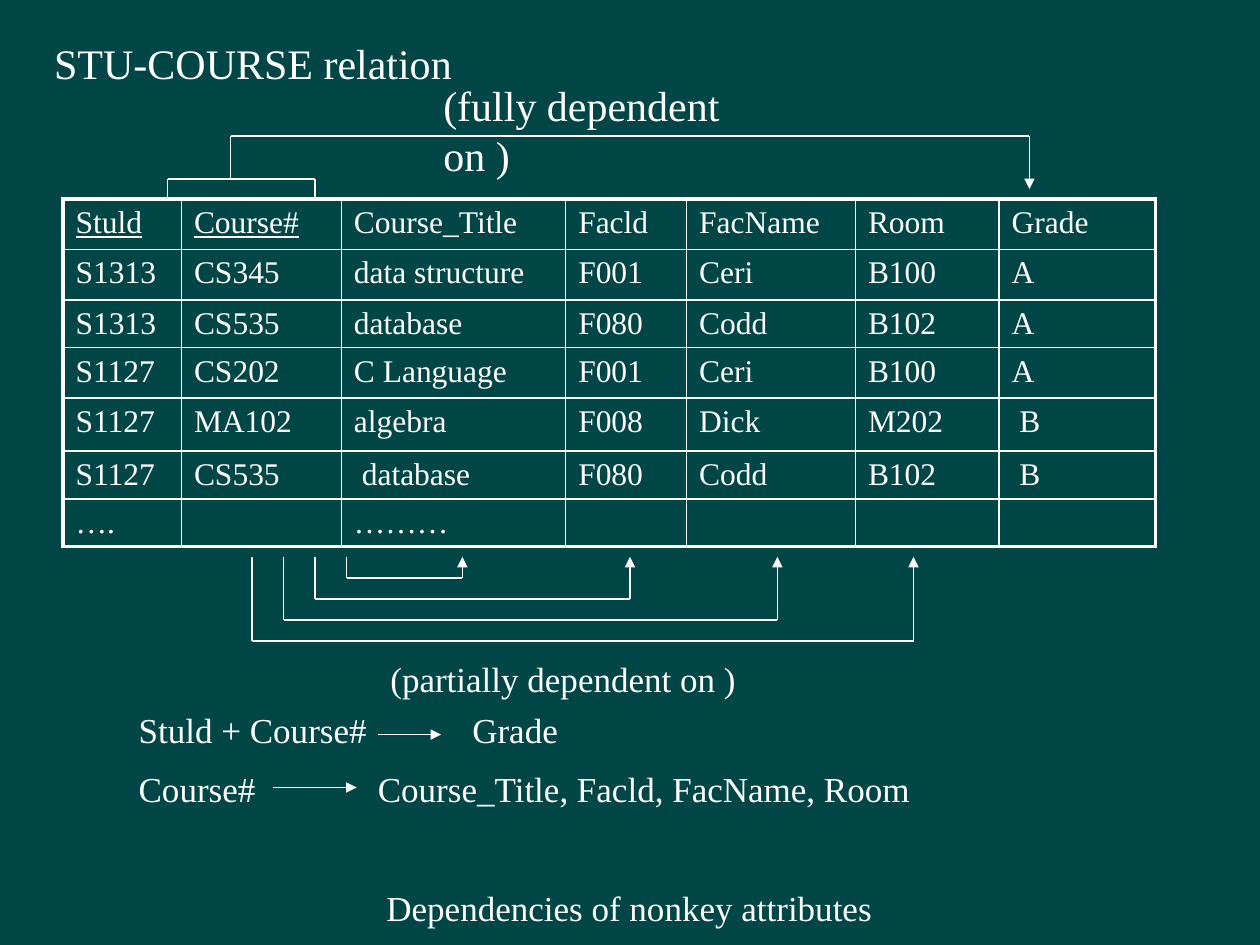
import dataclasses
import itertools

import pptx
import pptx.dml.color
import pptx.enum.shapes
import pptx.enum.text
import pptx.oxml
import pptx.oxml.ns
import pptx.util

Inches = pptx.util.Inches
Pt = pptx.util.Pt


@dataclasses.dataclass(frozen=True)
class Theme:
    background: str = "004646"
    ink: str = "FFFFFF"
    font: str = "Times New Roman"
    heading: int = 24
    body: int = 20
    cell: int = 18
    empty_cell: int = 14
    arrow_line: float = 0.75
    inner_border: float = 1
    outer_border: float = 2.25


THEME = Theme()
COLUMN_WIDTHS = [0.94, 1.27, 1.78, 0.96, 1.34, 1.14, 1.24]
ROW_HEIGHTS = [0.4, 0.4, 0.38, 0.4, 0.42, 0.38, 0.38]
KEY_COLUMNS = 2
RELATION = [
    ["Stuld", "Course#", "Course_Title", "Facld", "FacName", "Room", "Grade"],
    ["S1313", "CS345", "data structure", "F001", "Ceri", "B100", "A"],
    ["S1313", "CS535", "database", "F080", "Codd", "B102", "A"],
    ["S1127", "CS202", "C Language", "F001", "Ceri", "B100", "A"],
    ["S1127", "MA102", "algebra", "F008", "Dick", "M202", " B"],
    ["S1127", "CS535", " database", "F080", "Codd", "B102", " B"],
    ["….", "", "………", "", "", "", ""],
]


def rgb(value):
    return pptx.dml.color.RGBColor.from_string(value)


def xml(tag, content="", **attributes):
    settings = "".join(f' {name}="{value}"' for name, value in attributes.items())
    namespace = pptx.oxml.ns.nsdecls("a")
    return pptx.oxml.parse_xml(f"<a:{tag} {namespace}{settings}>{content}</a:{tag}>")


def write(paragraph, text, size=THEME.body, underline=False, before=0, align=None):
    run = paragraph.add_run()
    run.text = text
    run.font.name = THEME.font
    run.font.size = Pt(size)
    run.font.underline = underline
    run.font.color.rgb = rgb(THEME.ink)
    paragraph.space_before = Pt(before)
    paragraph.alignment = align or pptx.enum.text.PP_ALIGN.LEFT
    properties = paragraph._p.get_or_add_pPr()
    properties.set("marL", "0")
    properties.set("indent", "0")
    properties.append(xml("buNone"))


def place(shape, left, top, width, height):
    shape.left, shape.top = Inches(left), Inches(top)
    shape.width, shape.height = Inches(width), Inches(height)
    frame = shape.text_frame
    frame.word_wrap = True
    frame.auto_size = pptx.enum.text.MSO_AUTO_SIZE.NONE
    frame.vertical_anchor = pptx.enum.text.MSO_ANCHOR.TOP
    return frame.paragraphs[0]


def add_label(slide, text, left, top, width, height, **text_format):
    label = slide.shapes.add_textbox(0, 0, 0, 0)
    write(place(label, left, top, width, height), text, **text_format)


def add_path(shapes, points, arrow=False):
    for start, end in itertools.pairwise(points):
        segment = shapes.add_connector(
            pptx.enum.shapes.MSO_CONNECTOR.STRAIGHT, *map(Inches, start + end))
        segment.line.color.rgb = rgb(THEME.ink)
        segment.line.width = Pt(THEME.arrow_line)
        segment._element.spPr.append(xml("effectLst"))
    if arrow:
        segment.line._get_or_add_ln().append(xml("tailEnd", type="triangle"))


def set_borders(cell, outer_sides):
    properties = cell._tc.get_or_add_tcPr()
    ink = f'<a:solidFill><a:srgbClr val="{THEME.ink}"/></a:solidFill>'
    for position, side in enumerate("LRTB"):
        width = THEME.outer_border if side in outer_sides else THEME.inner_border
        properties.insert(position, xml(f"ln{side}", ink, w=int(Pt(width))))


def add_relation(slide):
    last_row, last_column = len(ROW_HEIGHTS) - 1, len(COLUMN_WIDTHS) - 1
    table = slide.shapes.add_table(
        len(ROW_HEIGHTS), len(COLUMN_WIDTHS), Inches(0.5), Inches(1.58),
        Inches(sum(COLUMN_WIDTHS)), Inches(sum(ROW_HEIGHTS))).table
    table.first_row = table.horz_banding = False
    for column, width in zip(table.columns, COLUMN_WIDTHS):
        column.width = Inches(width)
    for row, height in zip(table.rows, ROW_HEIGHTS):
        row.height = Inches(height)
    for r, values in enumerate(RELATION):
        for c, value in enumerate(values):
            cell = table.cell(r, c)
            cell.fill.background()
            edges = {"L": c == 0, "R": c == last_column, "T": r == 0, "B": r == last_row}
            set_borders(cell, [side for side, is_outer in edges.items() if is_outer])
            paragraph = cell.text_frame.paragraphs[0]
            if value:
                write(paragraph, value, size=THEME.cell,
                      underline=r == 0 and c < KEY_COLUMNS)
            else:
                paragraph._p.append(xml("endParaRPr", sz=THEME.empty_cell * 100))


def add_full_dependency(slide):
    arrows = slide.shapes.add_group_shape().shapes
    add_path(arrows, [(1.33, 1.58), (1.33, 1.42), (2.5, 1.42), (2.5, 1.58)])
    add_path(arrows, [(1.83, 1.42), (1.83, 1.08), (8.17, 1.08), (8.17, 1.5)], arrow=True)


def add_partial_dependencies(slide):
    arrows = slide.shapes.add_group_shape().shapes
    top = 4.42
    for level, target in enumerate([3.67, 5, 6.17, 7.25]):
        source, bottom = 2.75 - level / 4, top + (level + 1) / 6
        add_path(arrows, [(source, top), (source, bottom), (target, bottom), (target, top)],
                 arrow=True)


def add_determinants(body):
    write(place(body, 1, 5.57, 7.92, 1.93), "Stuld + Course#")
    frame = body.text_frame
    write(frame.add_paragraph(), "Course#", before=10)
    write(frame.add_paragraph(), " Dependencies of nonkey attributes",
          before=44, align=pptx.enum.text.PP_ALIGN.CENTER)


def add_dependents(slide, text, left, top, arrow_start, arrow_end, arrow_y):
    add_label(slide, text, left, top, 8.92 - left, 0.43)
    add_path(slide.shapes, [(arrow_start, arrow_y), (arrow_end, arrow_y)], arrow=True)


def main():
    deck = pptx.Presentation()
    deck.slide_width, deck.slide_height = Inches(10), Inches(7.5)
    slide = deck.slides.add_slide(deck.slide_layouts[1])
    slide.background.fill.solid()
    slide.background.fill.fore_color.rgb = rgb(THEME.background)

    write(place(slide.shapes.title, 0.33, 0.25, 3.67, 0.5), "STU-COURSE relation",
          size=THEME.heading)
    add_determinants(slide.placeholders[1])
    add_relation(slide)
    add_label(slide, "(fully dependent on )", 3.42, 0.58, 3, 0.5, size=THEME.heading)
    add_full_dependency(slide)
    add_partial_dependencies(slide)
    add_label(slide, "(partially dependent on )", 3, 5.17, 3.67, 0.43)
    add_dependents(slide, "Grade", 3.65, 5.57, 3, 3.5, 5.83)
    add_dependents(slide, "Course_Title, Facld, FacName, Room", 2.9, 6.04, 2.17, 2.83, 6.25)

    deck.save("out.pptx")


if __name__ == "__main__":
    main()
